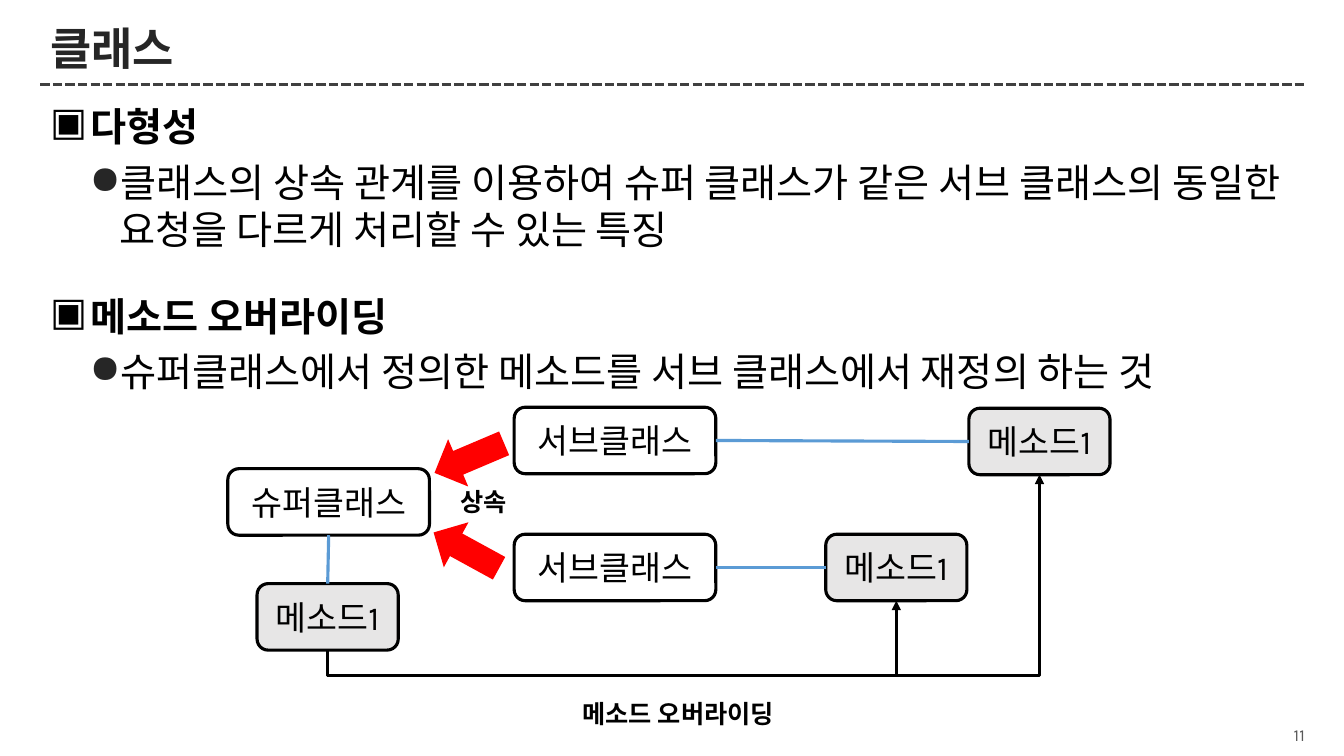
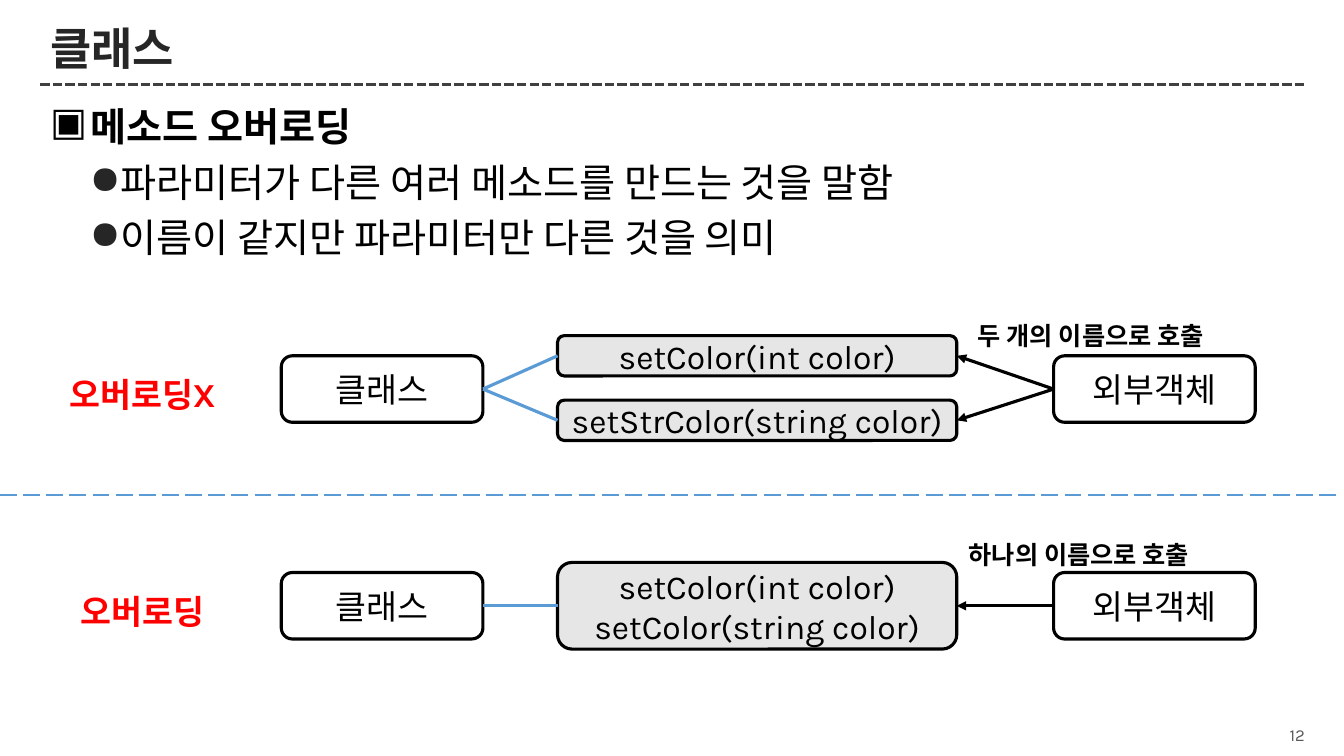
from dataclasses import dataclass
from enum import IntEnum
from typing import NamedTuple, Optional

from pptx import Presentation
from pptx.dml.color import RGBColor as RGB
from pptx.enum.dml import MSO_LINE as Dash
from pptx.enum.shapes import MSO_CONNECTOR as Conn, MSO_SHAPE as Shape
from pptx.enum.text import MSO_ANCHOR as Anchor, PP_ALIGN as Align
from pptx.oxml.ns import qn
from pptx.shapes.autoshape import Shape as AutoShape
from pptx.shapes.connector import Connector
from pptx.slide import Slide
from pptx.text.text import TextFrame
from pptx.util import Inches, Pt
from lxml.etree import SubElement


@dataclass(frozen=True)
class Theme:
    """Colours, fonts and sizes shared by the slides."""
    black: str = "000000"
    title: str = "262626"
    rule: str = "404040"
    number: str = "595959"
    grey: str = "E7E6E6"
    blue: str = "5B9BD5"
    red: str = "FF0000"
    head_font: str = "Cabin"
    font: str = "Karla"
    title_pt: float = 32
    body_pt: float = 28
    node_pt: float = 24
    label_pt: float = 18
    number_pt: float = 12
    line_pt: float = 2.25


T = Theme()


class Site(IntEnum):
    """Connection sites of a rounded rectangle."""
    TOP = 0
    LEFT = 1
    BOTTOM = 2
    RIGHT = 3


class Area(NamedTuple):
    """Left, top, width and height in inches."""
    x: float
    y: float
    w: float
    h: float


class Level(NamedTuple):
    """Bullet style of one outline level."""
    mark: str
    color: str
    margin: float
    hang: float
    bold: bool


class Point(NamedTuple):
    """One outline paragraph; before is the space above it in points."""
    text: str
    level: Level
    before: float = 6


class Label(NamedTuple):
    """A bold caption."""
    text: str
    area: Area
    size: float = T.label_pt
    color: str = T.black
    align: Align = Align.LEFT


class Node(NamedTuple):
    """A rounded box of a diagram."""
    text: str
    area: Area
    fill: Optional[str] = None


HEADING = Level("▣", T.black, 0.4, 0.4, True)
ITEM = Level("●", T.title, 0.69, 0.3, False)
CLASS_W, METHOD_W, NODE_H = 2, 1.4, 0.66


def style(tf: TextFrame, size: float, color: str = T.black, font: str = T.font,
          bold: bool = False, align: Align = Align.LEFT) -> None:
    """Format every run of a text frame."""
    tf.word_wrap = True
    for p in tf.paragraphs:
        p.alignment = align
        for r in p.runs:
            r.font.size, r.font.name, r.font.bold = Pt(size), font, bold
            r.font.color.rgb = RGB.from_string(color)


def add_text(s: Slide, area: Area, text: str) -> TextFrame:
    """Add a text box and return its frame."""
    tf = s.shapes.add_textbox(*map(Inches, area)).text_frame
    tf.text = text
    return tf


def add_label(s: Slide, label: Label) -> None:
    """Draw a bold caption."""
    tf = add_text(s, label.area, label.text)
    style(tf, label.size, label.color, bold=True, align=label.align)


def add_node(s: Slide, node: Node) -> AutoShape:
    """Draw a rounded box with centred text."""
    sp = s.shapes.add_shape(Shape.ROUNDED_RECTANGLE, *map(Inches, node.area))
    sp.shadow.inherit = False
    if node.fill:
        sp.fill.solid()
        sp.fill.fore_color.rgb = RGB.from_string(node.fill)
    else:
        sp.fill.background()
    sp.line.color.rgb = RGB.from_string(T.black)
    sp.line.width = Pt(T.line_pt)
    tf = sp.text_frame
    tf.text = node.text
    tf.vertical_anchor = Anchor.MIDDLE
    style(tf, T.node_pt, align=Align.CENTER)
    return sp


def add_line(s: Slide, x1: float, y1: float, x2: float, y2: float, color: str,
             width: float = T.line_pt, dash: Optional[Dash] = None,
             arrow: bool = False, kind: Conn = Conn.STRAIGHT) -> Connector:
    """Draw a connector without shadow, with an optional arrowhead at its end."""
    c = s.shapes.add_connector(kind, *map(Inches, (x1, y1, x2, y2)))
    c.line.color.rgb = RGB.from_string(color)
    c.line.width = Pt(width)
    if dash:
        c.line.dash_style = dash
    if arrow:
        SubElement(c.line._get_or_add_ln(), qn("a:tailEnd"), type="triangle")
    SubElement(c._element.spPr, qn("a:effectLst"))
    return c


def link(s: Slide, start: AutoShape, start_site: Site, end: AutoShape,
         end_site: Site, color: str = T.blue, arrow: bool = False) -> None:
    """Connect two boxes by a straight line."""
    c = add_line(s, 0, 0, 1, 1, color, arrow=arrow)
    c.begin_connect(start, start_site)
    c.end_connect(end, end_site)


def add_bent_arrow(s: Slide, x1: float, y1: float, x2: float, y2: float,
                   low: float) -> None:
    """Draw an arrow that drops to low, runs right and rises to its end."""
    cx, cy = (x1 + x2) / 2, (y1 + y2) / 2
    dx, dy = (y1 - y2) / 2, (x2 - x1) / 2
    c = add_line(s, cx + dx, cy + dy, cx - dx, cy - dy, T.black,
                 arrow=True, kind=Conn.ELBOW)
    spPr = c._element.spPr
    spPr.find(qn("a:xfrm")).set("rot", str(90 * 60000))
    guides = spPr.find(qn("a:prstGeom")).find(qn("a:avLst"))
    bend = round((y1 - low) / (y1 - y2) * 100000)
    SubElement(guides, qn("a:gd"), name="adj1", fmla=f"val {bend}")


def add_block_arrow(s: Slide, area: Area, angle: float) -> None:
    """Draw a turned red block arrow."""
    sp = s.shapes.add_shape(Shape.DOWN_ARROW, *map(Inches, area))
    sp.shadow.inherit = False
    sp.fill.solid()
    sp.fill.fore_color.rgb = RGB.from_string(T.red)
    sp.line.fill.background()
    sp.rotation = angle


def add_outline(s: Slide, points: list[Point]) -> None:
    """Write the bulleted outline below the title."""
    tf = add_text(s, Area(0.4, 0.97, 12.46, 6.14),
                  "\n".join(point.text for point in points))
    style(tf, T.body_pt, font=T.head_font)
    for p, point in zip(tf.paragraphs, points):
        level = point.level
        p.space_before = Pt(point.before)
        p.runs[0].font.bold = level.bold
        pPr = p._p.get_or_add_pPr()
        pPr.set("marL", str(Inches(level.margin)))
        pPr.set("indent", str(-Inches(level.hang)))
        color = SubElement(pPr, qn("a:buClr"))
        SubElement(color, qn("a:srgbClr"), val=level.color)
        SubElement(pPr, qn("a:buChar"), char=level.mark)


def add_page(prs: Presentation, title: str, number: int,
             points: list[Point]) -> Slide:
    """Add a slide with title, dashed rule, page number and outline."""
    s = prs.slides.add_slide(prs.slide_layouts[6])
    tf = add_text(s, Area(12.54, 7.13, 0.5, 0.32), str(number))
    tf.vertical_anchor = Anchor.MIDDLE
    style(tf, T.number_pt, T.number, align=Align.RIGHT)
    add_line(s, 0.4, 0.84, 12.96, 0.84, T.rule, dash=Dash.SQUARE_DOT)
    tf = add_text(s, Area(0.4, 0.21, 12.56, 0.59), title)
    tf.vertical_anchor = Anchor.MIDDLE
    tf.paragraphs[0].line_spacing = 0.9
    style(tf, T.title_pt, T.title, T.head_font, bold=True)
    add_outline(s, points)
    return s


def class_node(text: str, x: float, y: float) -> Node:
    """Describe a class box."""
    return Node(text, Area(x, y, CLASS_W, NODE_H))


def method_node(x: float, y: float) -> Node:
    """Describe a method box."""
    return Node("메소드1", Area(x, y, METHOD_W, NODE_H), T.grey)


def build_overriding(prs: Presentation) -> None:
    """Build the slide on polymorphism and overriding."""
    s = add_page(prs, "클래스", 11, [
        Point("다형성", HEADING),
        Point("클래스의 상속 관계를 이용하여 슈퍼 클래스가 같은 서브 클래스의 "
              "동일한 요청을 다르게 처리할 수 있는 특징", ITEM),
        Point("메소드 오버라이딩", HEADING, 28.5),
        Point("슈퍼클래스에서 정의한 메소드를 서브 클래스에서 재정의 하는 것", ITEM),
    ])
    base = add_node(s, class_node("슈퍼클래스", 2.26, 4.65))
    base_method = add_node(s, method_node(2.55, 5.79))
    link(s, base, Site.BOTTOM, base_method, Site.TOP)
    for y, method_x, method_y in ((4.04, 9.61, 4.05), (5.3, 8.19, 5.3)):
        sub = add_node(s, class_node("서브클래스", 5.1, y))
        method = add_node(s, method_node(method_x, method_y))
        link(s, sub, Site.RIGHT, method, Site.LEFT)
        add_bent_arrow(s, 3.25, 6.45, method_x + METHOD_W / 2,
                       method_y + NODE_H, low=6.7)
    add_block_arrow(s, Area(4.4, 4.17, 0.51, 0.75), 67)
    add_block_arrow(s, Area(4.37, 5.09, 0.51, 0.74), 118.7)
    add_label(s, Label("상속", Area(4.47, 4.78, 0.78, 0.4)))
    add_label(s, Label("메소드 오버라이딩", Area(5.68, 6.88, 2.21, 0.4)))


def add_call_row(s: Slide, y: float, methods: list[Node],
                 labels: list[Label]) -> None:
    """Draw a class, its methods and the outside object calling them."""
    owner = add_node(s, class_node("클래스", 2.79, y))
    caller = add_node(s, class_node("외부객체", 10.45, y))
    for node in methods:
        method = add_node(s, node)
        link(s, owner, Site.RIGHT, method, Site.LEFT)
        link(s, caller, Site.LEFT, method, Site.RIGHT, T.black, arrow=True)
    for label in labels:
        add_label(s, label)


def build_overloading(prs: Presentation) -> None:
    """Build the slide on overloading."""
    s = add_page(prs, "클래스", 12, [
        Point("메소드 오버로딩", HEADING),
        Point("파라미터가 다른 여러 메소드를 만드는 것을 말함", ITEM),
        Point("이름이 같지만 파라미터만 다른 것을 의미", ITEM),
    ])
    tag = (T.node_pt, T.red, Align.CENTER)
    add_call_row(s, 3.53, [
        Node("setColor(int color)", Area(5.53, 3.33, 3.96, 0.4), T.grey),
        Node("setStrColor(string color)", Area(5.53, 3.97, 3.96, 0.4), T.grey),
    ], [
        Label("두 개의 이름으로 호출", Area(9.6, 3.13, 2.61, 0.4)),
        Label("오버로딩X", Area(0.11, 3.66, 2.61, 0.5), *tag),
    ])
    add_line(s, 0, 4.91, 13.26, 4.91, T.blue, 1.5, Dash.LONG_DASH)
    add_call_row(s, 5.68, [
        Node("setColor(int color)\nsetColor(string color)",
             Area(5.53, 5.58, 3.96, 0.86), T.grey),
    ], [
        Label("하나의 이름으로 호출", Area(9.51, 5.3, 2.61, 0.4)),
        Label("오버로딩", Area(0.11, 5.81, 2.61, 0.5), *tag),
    ])


def main() -> None:
    """Build and save the presentation."""
    prs = Presentation()
    prs.slide_width, prs.slide_height = Inches(13.33), Inches(7.5)
    build_overriding(prs)
    build_overloading(prs)
    prs.save("out.pptx")


main()
